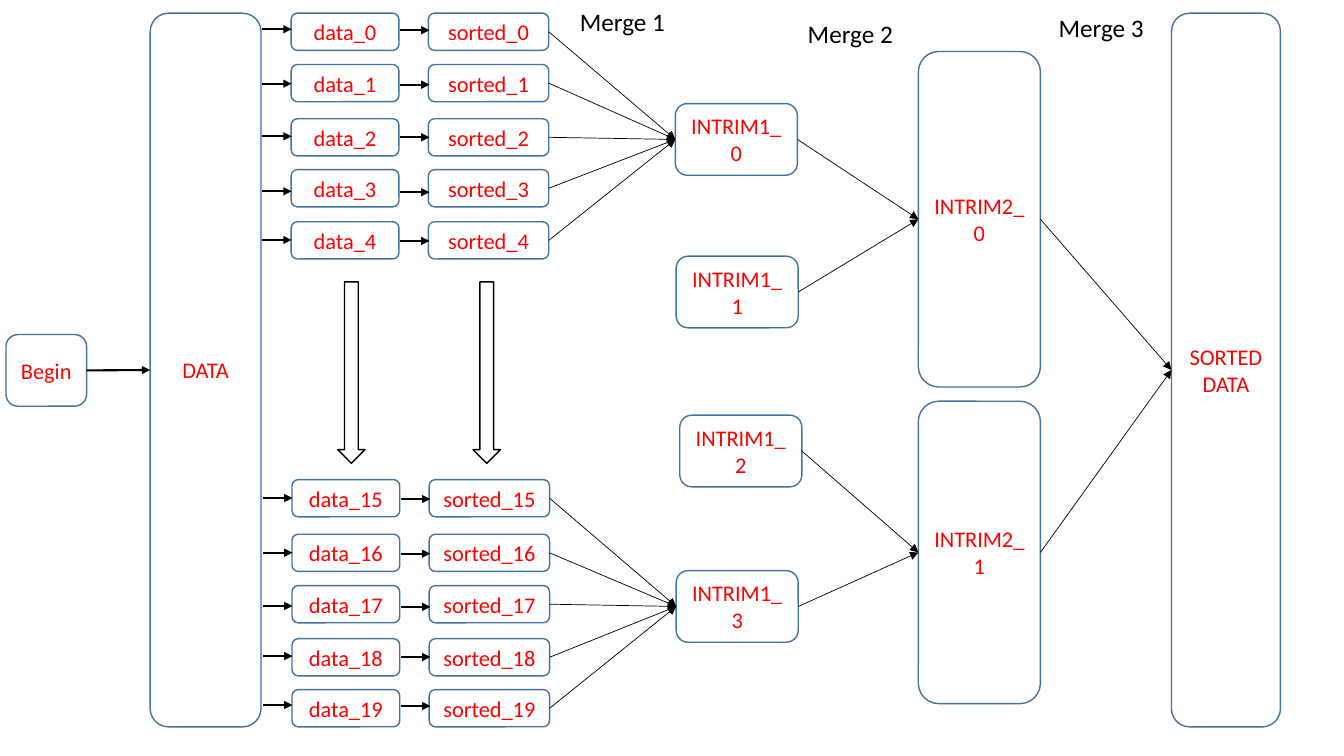
from lxml import etree
from pptx import Presentation
from pptx import util as u
from pptx.dml import color
from pptx.enum import shapes, text
from pptx.oxml import ns

WHITE, BLACK, RED, BLUE = "FFFFFF", "000000", "FF0000", "43739E"
LEFT_SITE, RIGHT_SITE = 1, 3
ROUNDED = shapes.MSO_SHAPE.ROUNDED_RECTANGLE


def paint(target, hex_color):
    """Give a fill or line fill a solid colour."""
    target.solid()
    target.fore_color.rgb = color.RGBColor.from_string(hex_color)


def add_text(shape, content, size=16, hex_color=RED):
    """Write centred text into a shape."""
    frame = shape.text_frame
    frame.word_wrap = True
    frame.vertical_anchor = text.MSO_ANCHOR.MIDDLE
    paragraph = frame.paragraphs[0]
    paragraph.alignment = text.PP_ALIGN.CENTER
    run = paragraph.add_run()
    run.text = content
    run.font.name = "Calibri"
    run.font.size = u.Pt(size)
    paint(run.font.fill, hex_color)


def add_box(slide, box, content="", kind=ROUNDED, outline=BLUE, **text_format):
    """Add a white outlined shape at (left, top, width, height)."""
    shape = slide.shapes.add_shape(kind, *map(u.Pt, box))
    shape.shadow.inherit = False
    paint(shape.fill, WHITE)
    paint(shape.line.fill, outline)
    shape.line.width = u.Pt(1)
    if content:
        add_text(shape, content, **text_format)
    return shape


def add_arrow(slide, start=(0, 0), end=(0, 0), weight=1.5):
    """Add a straight black arrow between two points."""
    arrow = slide.shapes.add_connector(
        shapes.MSO_CONNECTOR.STRAIGHT, *map(u.Pt, (*start, *end)))
    paint(arrow.line.fill, BLACK)
    arrow.line.width = u.Pt(weight)
    properties = arrow.element.spPr
    etree.SubElement(properties.find(ns.qn("a:ln")), ns.qn("a:tailEnd"), type="triangle")
    etree.SubElement(properties, ns.qn("a:effectLst"))
    return arrow


def link(slide, source, target, weight=0.5):
    """Glue an arrow from the right of one box to the left of another."""
    arrow = add_arrow(slide, weight=weight)
    arrow.begin_connect(source, RIGHT_SITE)
    arrow.end_connect(target, LEFT_SITE)


def add_sort_group(slide, left, top, first_number, row_offsets, arrow_offsets):
    """Add five data-to-sorted rows with arrows; return the sorted boxes."""
    sorted_boxes = []
    for index, (row, arrow) in enumerate(zip(row_offsets, arrow_offsets)):
        number = first_number + index
        add_box(slide, (left, top + row, 77, 26.6), f"data_{number}")
        sorted_boxes.append(
            add_box(slide, (left + 98, top + row, 86, 26.6), f"sorted_{number}"))
        for start, drop in ((left - 20.5, 0), (left + 78, 0.7)):
            y = top + arrow + drop
            add_arrow(slide, (start, y), (start + 20.8, y))
    return sorted_boxes


def add_input(slide, left, top, height):
    """Add the Begin box leading into the tall DATA box."""
    begin = add_box(slide, (left, top + 229.6, 57.6, 51.2), "Begin")
    data = add_box(slide, (left + 103, top, 79.2, height), "DATA")
    link(slide, begin, data, weight=1.5)


def add_merges(slide, left, top, height, sorted_groups):
    """Add the merge stages and link the sorted groups through them."""
    first_stage = [
        add_box(slide, (left + shift, top + drop, 87.2, 51.2), f"INTRIM1_{number}")
        for number, (shift, drop) in enumerate(
            ((0, 64.6), (0.6, 173.6), (3.2, 287.2), (0.6, 398.2)))]
    second_stage = [
        add_box(slide, (left + 173.6, top + drop, 87.2, tall), f"INTRIM2_{number}")
        for number, (drop, tall) in enumerate(((27.4, 239.6), (277.2, 216)))]
    result = add_box(slide, (left + 354.4, top, 77.8, height), "SORTED DATA")

    for group, merged in zip(sorted_groups, (first_stage[0], first_stage[3])):
        for sorted_box in group:
            link(slide, sorted_box, merged)
    for number, merged in enumerate(first_stage):
        link(slide, merged, second_stage[number // 2])
    for merged in second_stage:
        link(slide, merged, result)


def add_labels(slide, left, top):
    """Name the three merge stages."""
    for number, (shift, drop) in enumerate(((0, 0), (162.8, 8.6), (342, 4.3)), 1):
        add_box(slide, (left + shift, top + drop, 84.2, 30.2), f"Merge {number}",
                kind=shapes.MSO_SHAPE.RECTANGLE, outline=WHITE,
                size=18, hex_color=BLACK)


def add_continuation(slide, left, top):
    """Add the block arrows standing for the rows between the groups."""
    for shift in (0, 96.7):
        add_box(slide, (left + shift, top, 19.6, 129.6),
                kind=shapes.MSO_SHAPE.DOWN_ARROW, outline=BLACK)


def main():
    """Build the merge sort flow slide."""
    presentation = Presentation()
    presentation.slide_width, presentation.slide_height = u.Pt(960), u.Pt(540)
    slide = presentation.slides.add_slide(presentation.slide_layouts[6])
    top, height = 9.4, 509.8
    add_input(slide, 4.3, top, height)
    sorted_groups = [
        add_sort_group(slide, 208, top, 0, (0, 36.7, 75.4, 111.8, 149),
                       (11.5, 50.4, 88, 127.2, 162)),
        add_sort_group(slide, 208.6, 342.6, 15, (0, 39, 75.7, 113.6, 150),
                       (13.2, 52.2, 90.2, 126, 161)),
    ]
    add_merges(slide, 482.4, top, height, sorted_groups)
    add_labels(slide, 402.5, 0)
    add_continuation(slide, 241.2, 201.4)
    presentation.save("out.pptx")


main()
